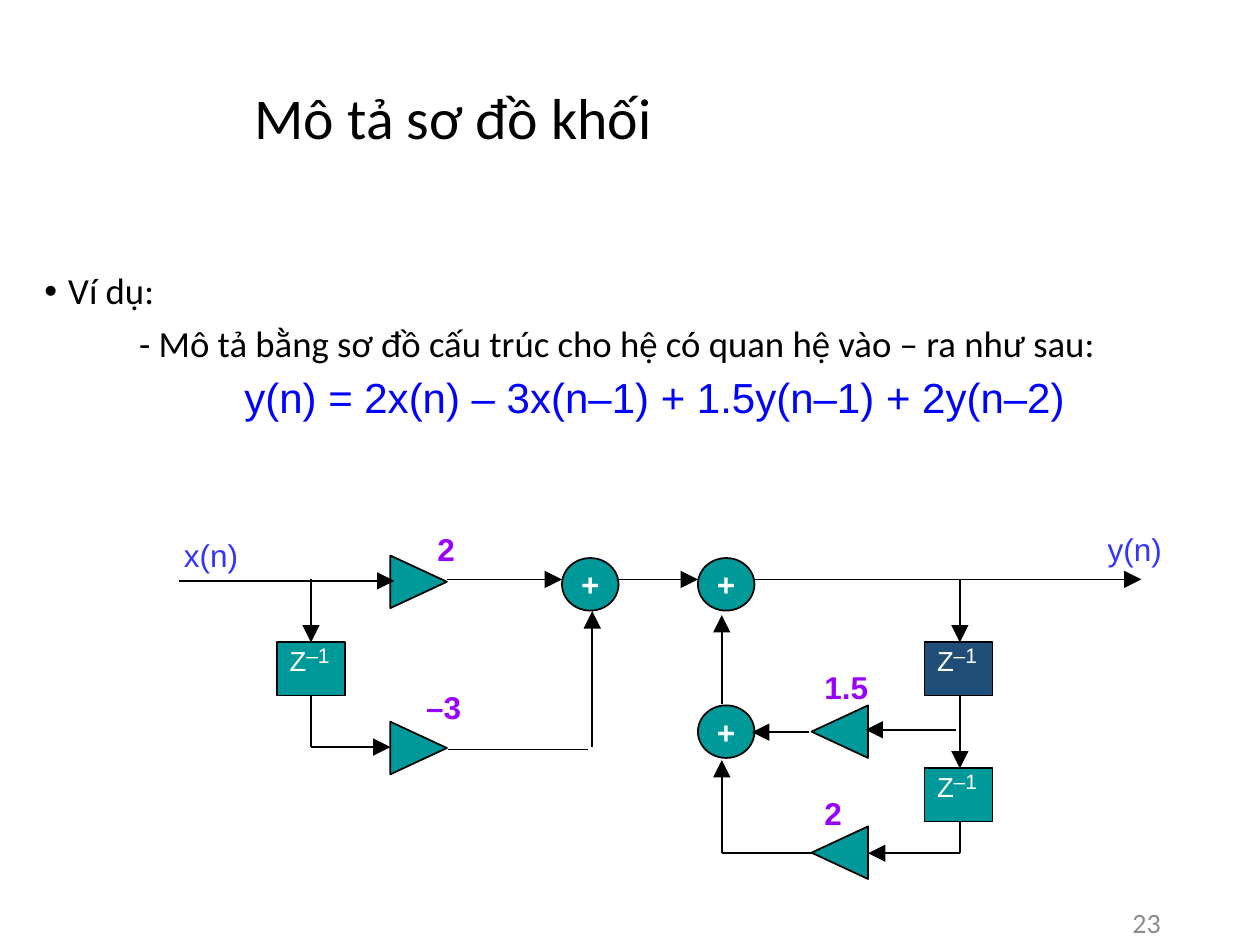
"""Build a slide with the block diagram of a difference equation."""
import pptx
import pptx.util
import pptx.dml.color
import pptx.enum.shapes
import pptx.enum.text
import pptx.oxml.ns
import lxml.etree

Cm, Pt = pptx.util.Cm, pptx.util.Pt
RGBColor = pptx.dml.color.RGBColor
SHAPE = pptx.enum.shapes.MSO_SHAPE
ALIGN = pptx.enum.text.PP_ALIGN
ANCHOR = pptx.enum.text.MSO_ANCHOR
FIT = pptx.enum.text.MSO_AUTO_SIZE
qn = pptx.oxml.ns.qn

BLACK = RGBColor(0, 0, 0)
WHITE = RGBColor(255, 255, 255)
GRAY = RGBColor(0x8C, 0x8C, 0x8C)
TEAL = RGBColor(0, 0x99, 0x99)
NAVY = RGBColor(0x1F, 0x4E, 0x79)
BLUE = RGBColor(0, 0, 255)
INDIGO = RGBColor(0x33, 0x33, 255)
PURPLE = RGBColor(0x99, 0, 255)

TRI_W, TRI_H = 1.14, 1.06
BOX_W, BOX_H = 1.37, 1.07

GAINS = [(7.87, 11.2, 1), (7.87, 14.55, 1), (17.5, 14.22, -1), (17.5, 16.66, -1)]
SUMS = [(11.33, 11.25), (14.07, 11.25), (14.07, 14.22)]
DELAYS = [(5.59, 12.95, TEAL), (18.64, 12.95, NAVY), (18.64, 15.49, TEAL)]
ARROWS = [
    [(3.61, 11.71), (7.95, 11.71)],
    [(9.02, 11.68), (11.33, 11.68)],
    [(12.47, 11.68), (14.07, 11.68)],
    [(15.21, 11.68), (23.01, 11.68)],
    [(6.27, 11.68), (6.27, 12.95)],
    [(6.27, 14.02), (6.27, 15.06), (7.87, 15.06)],
    [(11.94, 15.06), (11.94, 12.32)],
    [(19.35, 11.68), (19.35, 12.95)],
    [(19.35, 14.02), (19.35, 15.49)],
    [(19.28, 14.71), (17.45, 14.71)],
    [(16.31, 14.76), (15.16, 14.76)],
    [(14.55, 14.2), (14.55, 12.4)],
    [(19.35, 16.56), (19.35, 17.2), (17.5, 17.2)],
    [(16.41, 17.2), (14.55, 17.2), (14.55, 15.32)],
]
LABELS = [
    ("2", 8.79, 10.69, 0.43, PURPLE), ("–3", 8.56, 13.87, 0.79, PURPLE),
    ("1.5", 16.59, 13.46, 0.97, PURPLE), ("2", 16.59, 16, 0.43, PURPLE),
    ("x(n)", 3.68, 10.8, 1.17, INDIGO), ("y(n)", 22.3, 10.69, 1.17, INDIGO),
]


def write(par, text, font="Arial", size=18, color=BLACK, bold=False, base=None):
    """Add one formatted run to a paragraph."""
    run = par.add_run()
    run.text = text
    run.font.name, run.font.size, run.font.bold = font, Pt(size), bold
    run.font.color.rgb = color
    if base is not None:
        run.font._element.set("baseline", str(base))


def place(shape, x, y, w, h):
    """Move and size a shape in centimetres."""
    shape.left, shape.top, shape.width, shape.height = map(Cm, (x, y, w, h))


def paint(shape, color):
    """Fill and outline a shape without shadow or insets."""
    shape.shadow.inherit = False
    shape.fill.solid()
    shape.fill.fore_color.rgb = color
    shape.line.color.rgb = BLACK
    shape.line.width = Pt(1)
    trim(shape.text_frame)


def trim(frame):
    """Clear the insets of a text frame."""
    frame.margin_left = frame.margin_right = frame.margin_top = frame.margin_bottom = 0


def indent(par, left, hang=0, mark=None):
    """Set the indent and the bullet of a paragraph."""
    props = par._p.get_or_add_pPr()
    props.set("marL", str(Cm(left)))
    props.set("indent", str(Cm(-hang)))
    if mark:
        lxml.etree.SubElement(props, qn("a:buFont")).set("typeface", "Arial")
        lxml.etree.SubElement(props, qn("a:buChar")).set("char", mark)
    else:
        lxml.etree.SubElement(props, qn("a:buNone"))


def wire(slide, points):
    """Join points with lines and end in an arrowhead."""
    for start, end in zip(points, points[1:]):
        line = slide.shapes.add_connector(
            pptx.enum.shapes.MSO_CONNECTOR.STRAIGHT, *map(Cm, start + end))
        line.line.color.rgb = BLACK
        line.line.width = Pt(1)
        if end == points[-1]:
            head = lxml.etree.SubElement(line.line._get_or_add_ln(), qn("a:tailEnd"))
            for key, val in (("type", "triangle"), ("w", "lg"), ("len", "lg")):
                head.set(key, val)
        lxml.etree.SubElement(line._element.spPr, qn("a:effectLst"))


def gain(slide, x, y, way):
    """Draw a triangle from its flat side towards its tip."""
    pen = slide.shapes.build_freeform(Cm(x), Cm(y))
    tip = (Cm(x + way * TRI_W), Cm(y + TRI_H / 2))
    pen.add_line_segments([tip, (Cm(x), Cm(y + TRI_H))], close=True)
    paint(pen.convert_to_shape(), TEAL)


def adder(slide, x, y):
    """Draw a circle with a plus sign."""
    node = slide.shapes.add_shape(SHAPE.OVAL, *map(Cm, (x, y, TRI_W, TRI_H)))
    paint(node, TEAL)
    node.text_frame.vertical_anchor = ANCHOR.MIDDLE
    par = node.text_frame.paragraphs[0]
    par.alignment = ALIGN.CENTER
    write(par, "+", color=WHITE, bold=True)


def delay(slide, x, y, color):
    """Draw a unit delay block."""
    box = slide.shapes.add_shape(SHAPE.RECTANGLE, *map(Cm, (x, y, BOX_W, BOX_H)))
    paint(box, color)
    box.text_frame.vertical_anchor = ANCHOR.TOP
    par = box.text_frame.paragraphs[0]
    par.alignment = ALIGN.LEFT
    par.line_spacing = Pt(19.9)
    indent(par, 0.25)
    write(par, "Z", size=27, color=WHITE, base=-17000)
    write(par, "–1", size=12, color=WHITE, base=0)


def label(slide, text, x, y, w, color):
    """Put a free label beside the diagram."""
    box = slide.shapes.add_textbox(*map(Cm, (x, y, w, 0.84)))
    trim(box.text_frame)
    par = box.text_frame.paragraphs[0]
    par.space_before = Pt(1)
    indent(par, 0.03)
    write(par, text, color=color, bold=color == PURPLE)


def title(slide):
    """Fill the title."""
    shape = slide.shapes.title
    place(shape, 4.88, 0.84, 19.48, 3.18)
    shape.text_frame.vertical_anchor = ANCHOR.MIDDLE
    par = shape.text_frame.paragraphs[0]
    par.alignment, par.line_spacing = ALIGN.LEFT, 0.9
    write(par, "Mô tả sơ đồ khối", font="Calibri", size=33)


def body(slide):
    """Fill the body with the task and its equation."""
    shape = slide.placeholders[1]
    place(shape, 0.64, 5.38, 23.7, 12.19)
    frame = shape.text_frame
    frame.auto_size = FIT.NONE
    task = "- Mô tả bằng sơ đồ cấu trúc cho hệ có quan hệ vào – ra như sau:"
    rule = "y(n) = 2x(n) – 3x(n–1) + 1.5y(n–1) + 2y(n–2)"
    rows = [
        ("Ví dụ:", (0.48, 0.48, "•"), 0.9, 7.5, {"font": "Calibri", "size": 21}),
        (task, (1.91,), 0.9, 7.5, {"font": "Calibri", "size": 21}),
        (rule, (4.03,), 1.0, 3.2, {"size": 24, "color": BLUE}),
    ]
    for i, (text, dent, gap, before, look) in enumerate(rows):
        par = frame.add_paragraph() if i else frame.paragraphs[0]
        par.line_spacing, par.space_before = gap, Pt(before)
        indent(par, *dent)
        write(par, text, **look)


def number(slide):
    """Put the page number at the lower right."""
    box = slide.shapes.add_textbox(*map(Cm, (17.93, 18.14, 5.72, 0.91)))
    box.text_frame.word_wrap = True
    box.text_frame.vertical_anchor = ANCHOR.MIDDLE
    par = box.text_frame.paragraphs[0]
    par.alignment = ALIGN.RIGHT
    write(par, "23", font="Calibri", size=16, color=GRAY)


def main():
    """Build and save the slide."""
    deck = pptx.Presentation()
    deck.slide_width, deck.slide_height = Cm(25.4), Cm(19.05)
    slide = deck.slides.add_slide(deck.slide_layouts[1])
    title(slide)
    body(slide)
    number(slide)
    for draw, items in ((gain, GAINS), (adder, SUMS), (delay, DELAYS), (label, LABELS)):
        for item in items:
            draw(slide, *item)
    for points in ARROWS:
        wire(slide, points)
    wire_end = slide.shapes.add_connector(
        pptx.enum.shapes.MSO_CONNECTOR.STRAIGHT, *map(Cm, (9.04, 15.11, 11.86, 15.11)))
    wire_end.line.color.rgb = BLACK
    wire_end.line.width = Pt(1)
    lxml.etree.SubElement(wire_end._element.spPr, qn("a:effectLst"))
    deck.save("out.pptx")


if __name__ == "__main__":
    main()
